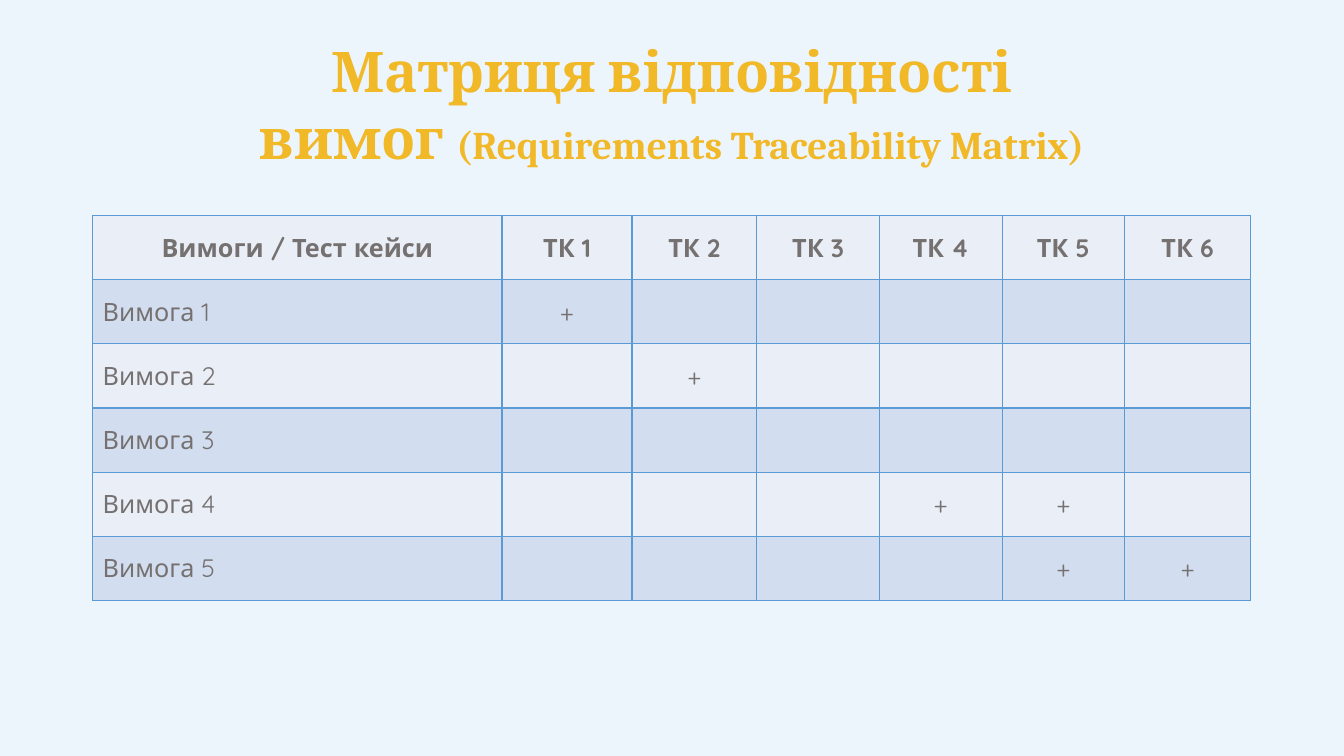
from dataclasses import dataclass

from lxml.etree import SubElement
from pptx import Presentation
from pptx.dml.color import RGBColor
from pptx.enum.text import MSO_ANCHOR, PP_ALIGN
from pptx.oxml.ns import qn
from pptx.util import Pt


@dataclass(frozen=True)
class Theme:
    """Colours, fonts and type sizes of the slide."""
    background: str = "EDF5FC"
    heading: str = "F1B828"
    body: str = "767171"
    border: str = "5B9BD5"
    bands: tuple = ("EAEFF7", "D2DEEF")
    heading_font: str = "Cambria"
    body_font: str = "Quicksand"
    heading_size: int = 40
    subheading_size: int = 28
    body_size: int = 18
    border_width: int = 1


THEME = Theme()
TEST_CASES = [f"ТК {number}" for number in range(1, 7)]
COVERAGE = {
    "Вимога 1": {1},
    "Вимога 2": {2},
    "Вимога 3": set(),
    "Вимога 4": {4, 5},
    "Вимога 5": {5, 6},
}
COLUMN_WIDTHS = (293, 93, 89.3, 87.8, 87.8, 87.8, 90)


def add_text(paragraph, text, *, size=THEME.body_size, font=THEME.body_font,
             color=THEME.body, bold=False, align=PP_ALIGN.CENTER):
    """Append a formatted run to a paragraph."""
    paragraph.alignment = align
    run = paragraph.add_run()
    run.text = text
    run.font.size = Pt(size)
    run.font.name = font
    run.font.bold = bold
    run.font.color.rgb = RGBColor.from_string(color)


def add_heading(slide, left, top, width, height):
    """Place the two-size heading in the given box."""
    heading = slide.shapes.add_textbox(Pt(left), Pt(top), Pt(width), Pt(height))
    frame = heading.text_frame
    frame.word_wrap = True
    frame.vertical_anchor = MSO_ANCHOR.MIDDLE
    parts = (("Матриця відповідності вимог ", THEME.heading_size),
             ("(Requirements Traceability Matrix)", THEME.subheading_size))
    for text, size in parts:
        add_text(frame.paragraphs[0], text, size=size, bold=True,
                 font=THEME.heading_font, color=THEME.heading)


def style_cell(cell, band):
    """Give a cell its borders, fill and vertical anchor."""
    properties = cell._tc.get_or_add_tcPr()
    for side in ("a:lnL", "a:lnR", "a:lnT", "a:lnB"):
        line = SubElement(properties, qn(side), w=str(Pt(THEME.border_width)))
        SubElement(SubElement(line, qn("a:solidFill")), qn("a:srgbClr"), val=THEME.border)
    cell.fill.solid()
    cell.fill.fore_color.rgb = RGBColor.from_string(band)
    cell.vertical_anchor = MSO_ANCHOR.MIDDLE


def add_matrix(slide, left, top, width, height):
    """Place the requirements and test cases matrix in the given box."""
    rows = [["Вимоги / Тест кейси", *TEST_CASES]]
    for requirement, covered in COVERAGE.items():
        marks = ["+" if number in covered else ""
                 for number in range(1, len(TEST_CASES) + 1)]
        rows.append([requirement, *marks])
    matrix = slide.shapes.add_table(len(rows), len(COLUMN_WIDTHS), Pt(left), Pt(top),
                                    Pt(width), Pt(height)).table
    for column, share in zip(matrix.columns, COLUMN_WIDTHS):
        column.width = Pt(width * share / sum(COLUMN_WIDTHS))
    for row_index, labels in enumerate(rows):
        matrix.rows[row_index].height = Pt(height / len(rows))
        is_header = row_index == 0
        for column_index, label in enumerate(labels):
            cell = matrix.cell(row_index, column_index)
            style_cell(cell, THEME.bands[row_index % 2])
            is_requirement = column_index == 0 and not is_header
            if label:
                add_text(cell.text_frame.paragraphs[0], label, bold=is_header,
                         align=PP_ALIGN.LEFT if is_requirement else PP_ALIGN.CENTER)


def main():
    """Build and save the traceability matrix slide."""
    presentation = Presentation()
    presentation.slide_width, presentation.slide_height = Pt(960), Pt(540)
    slide = presentation.slides.add_slide(presentation.slide_layouts[6])
    slide.background.fill.solid()
    slide.background.fill.fore_color.rgb = RGBColor.from_string(THEME.background)
    add_heading(slide, left=176, top=21.6, width=608, height=105)
    add_matrix(slide, left=66.2, top=154, width=827.2, height=275)
    presentation.save("out.pptx")


if __name__ == "__main__":
    main()
